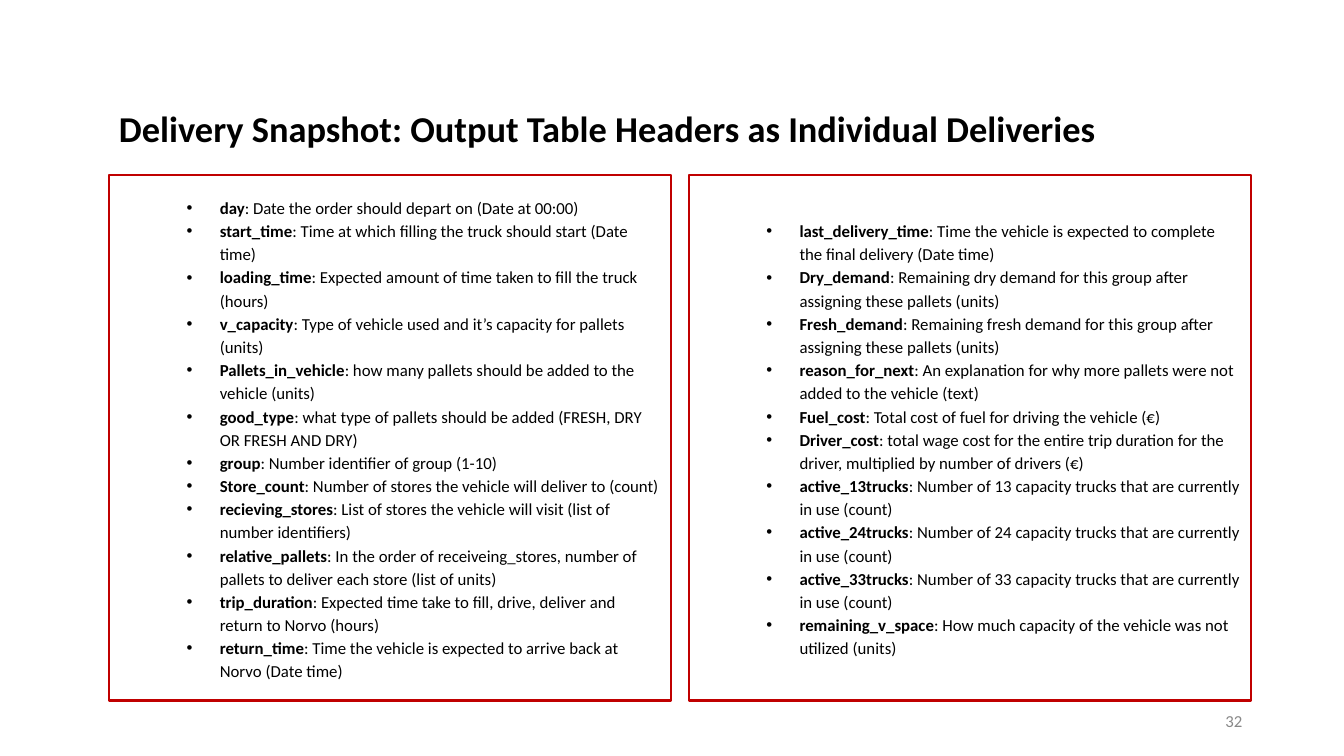
"""Build the slide that explains the output headers of the delivery snapshot."""
from lxml import etree
from pptx import Presentation
from pptx.dml.color import RGBColor
from pptx.enum.text import MSO_ANCHOR, MSO_AUTO_SIZE, PP_ALIGN
from pptx.oxml.ns import qn
from pptx.util import Inches, Pt

LEFT, RIGHT = PP_ALIGN.LEFT, PP_ALIGN.RIGHT
MIDDLE = MSO_ANCHOR.MIDDLE
NO_FIT = MSO_AUTO_SIZE.NONE

BLACK = RGBColor(0x00, 0x00, 0x00)
GREY = RGBColor(0x88, 0x88, 0x88)
RED = RGBColor(0xC0, 0x00, 0x00)

FONT = "Calibri"
TWO_CONTENT_LAYOUT = 3
PANEL_LEFT, PANEL_TOP = 1.08, 1.74
PANEL_WIDTH, PANEL_HEIGHT = 5.58, 5.21
PANEL_STEP = 5.75

TRIP_HEADERS = [
    ("day", "Date the order should depart on (Date at 00:00)"),
    ("start_time", "Time at which filling the truck should start (Date time)"),
    ("loading_time", "Expected amount of time taken to fill the truck (hours)"),
    ("v_capacity", "Type of vehicle used and it’s capacity for pallets (units)"),
    ("Pallets_in_vehicle", "how many pallets should be added to the vehicle (units)"),
    ("good_type", "what type of pallets should be added (FRESH, DRY OR FRESH AND DRY)"),
    ("group", "Number identifier of group (1-10)"),
    ("Store_count", "Number of stores the vehicle will deliver to (count)"),
    ("recieving_stores", "List of stores the vehicle will visit (list of number identifiers)"),
    ("relative_pallets", "In the order of receiveing_stores, number of pallets to deliver "
                         "each store (list of units)"),
    ("trip_duration", "Expected time take to fill, drive, deliver and return to Norvo (hours)"),
    ("return_time", "Time the vehicle is expected to arrive back at Norvo (Date time)"),
]
STATUS_HEADERS = [
    ("last_delivery_time", "Time the vehicle is expected to complete the final delivery "
                           "(Date time)"),
    ("Dry_demand", "Remaining dry demand for this group after assigning these pallets (units)"),
    ("Fresh_demand", "Remaining fresh demand for this group after assigning these pallets "
                     "(units)"),
    ("reason_for_next", "An explanation for why more pallets were not added to the vehicle "
                        "(text)"),
    ("Fuel_cost", "Total cost of fuel for driving the vehicle (€)"),
    ("Driver_cost", "total wage cost for the entire trip duration for the driver, multiplied "
                    "by number of drivers (€)"),
    *((f"active_{capacity}trucks",
       f"Number of {capacity} capacity trucks that are currently in use (count)")
      for capacity in (13, 24, 33)),
    ("remaining_v_space", "How much capacity of the vehicle was not utilized (units)"),
]


def add_text(paragraph, text, size=12, color=BLACK, bold=False):
    """Append a formatted run to a paragraph."""
    run = paragraph.add_run()
    run.text = text
    run.font.name = FONT
    run.font.size = Pt(size)
    run.font.bold = bold
    run.font.color.rgb = color


def place(holder, left, top, width, height):
    """Position a text holder and prepare its frame."""
    holder.left, holder.top = Inches(left), Inches(top)
    holder.width, holder.height = Inches(width), Inches(height)
    frame = holder.text_frame
    frame.word_wrap = True
    frame.auto_size = NO_FIT
    frame.vertical_anchor = MIDDLE
    return frame


def set_bullet(paragraph):
    """Give a paragraph a black round bullet with a hanging indent."""
    properties = paragraph._p.get_or_add_pPr()
    properties.set("marL", str(Inches(1)))
    properties.set("indent", str(Inches(-0.33)))
    bullet_color = etree.SubElement(properties, qn("a:buClr"))
    etree.SubElement(bullet_color, qn("a:srgbClr"), val=str(BLACK))
    etree.SubElement(properties, qn("a:buFont"), typeface="Arial")
    etree.SubElement(properties, qn("a:buChar"), char="•")


def fill_title(title, text):
    """Write the slide title."""
    paragraph = place(title, 1.08, 0.57, 10.5, 1.45).paragraphs[0]
    paragraph.alignment = LEFT
    paragraph.line_spacing = 0.9
    add_text(paragraph, text, size=26, bold=True)


def fill_panel(panel, column, headers):
    """Outline a list panel and write its header definitions."""
    frame = place(panel, PANEL_LEFT + column * PANEL_STEP, PANEL_TOP,
                  PANEL_WIDTH, PANEL_HEIGHT)
    panel.line.color.rgb = RED
    panel.line.width = Pt(1.5)
    for index, (header, meaning) in enumerate(headers):
        paragraph = frame.add_paragraph() if index else frame.paragraphs[0]
        set_bullet(paragraph)
        paragraph.level = 1
        paragraph.line_spacing = 1.15
        paragraph.space_before = Pt(0)
        add_text(paragraph, header, bold=True)
        add_text(paragraph, f": {meaning}")


def add_page_number(slide, number):
    """Add the page number at the bottom right."""
    box = slide.shapes.add_textbox(0, 0, 0, 0)
    paragraph = place(box, 9.42, 6.95, 3, 0.4).paragraphs[0]
    paragraph.alignment = RIGHT
    add_text(paragraph, number, color=GREY)


def main():
    """Create the presentation and save it."""
    deck = Presentation()
    deck.slide_width, deck.slide_height = Inches(13.33), Inches(7.5)
    slide = deck.slides.add_slide(deck.slide_layouts[TWO_CONTENT_LAYOUT])
    title, *panels = slide.placeholders
    fill_title(title, "Delivery Snapshot: Output Table Headers as Individual Deliveries")
    for column, headers in enumerate((TRIP_HEADERS, STATUS_HEADERS)):
        fill_panel(panels[column], column, headers)
    add_page_number(slide, "32")
    deck.save("out.pptx")


if __name__ == "__main__":
    main()
